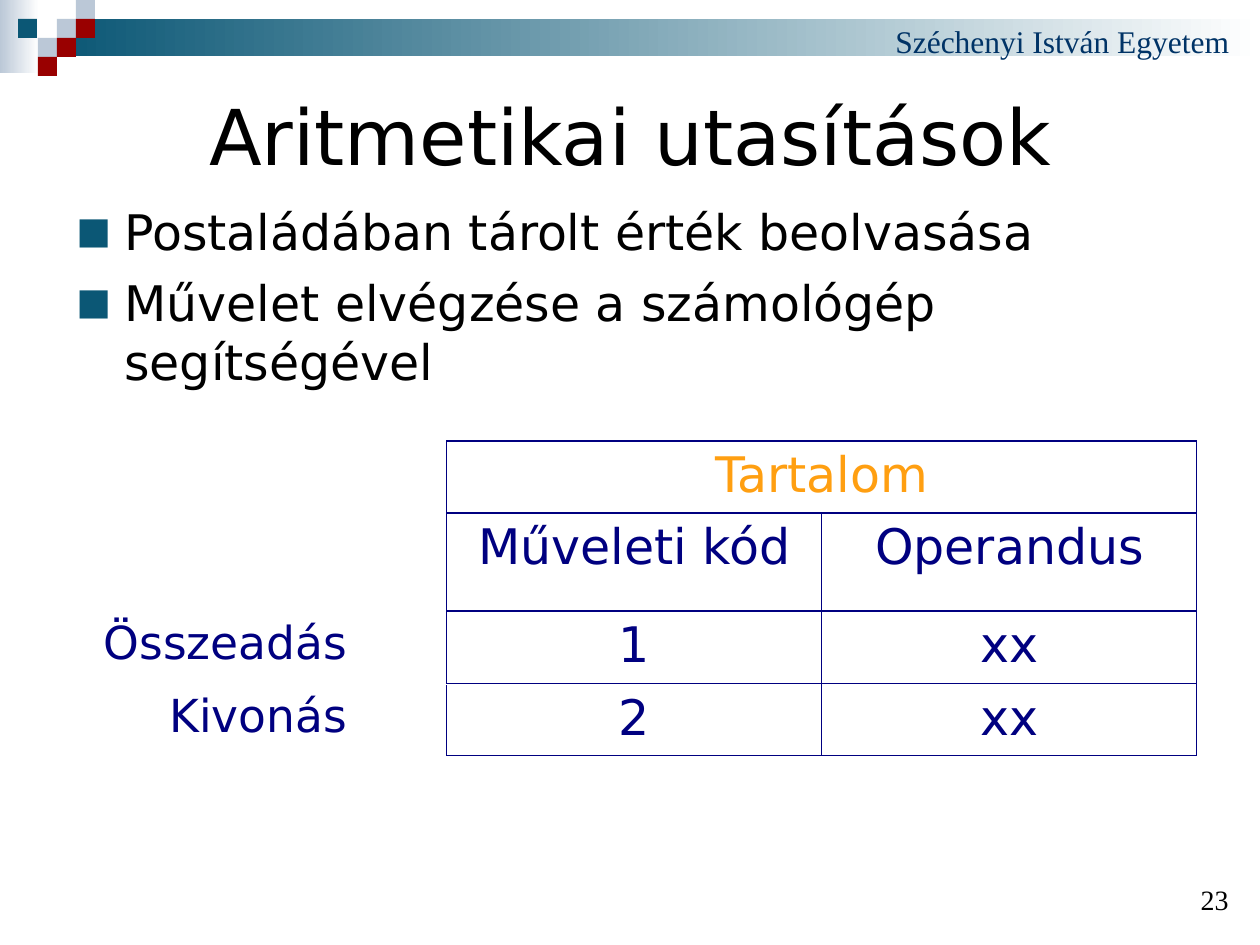
import dataclasses
import typing

import pptx
import pptx.dml.color
import pptx.enum.shapes
import pptx.enum.text
import pptx.oxml
import pptx.oxml.ns
import pptx.util

SCALE = 914400 / 126
SANS, SERIF = "DejaVu Sans", "Times New Roman"
BLACK, WHITE, NAVY, GOLD = "000000", "FFFFFF", "000080", "FF9F11"
TEAL, MIST, RED, BLUE = "0B5775", "BBC8D7", "990000", "003366"
ALIGN = pptx.enum.text.PP_ALIGN
ANCHOR = pptx.enum.text.MSO_ANCHOR


@dataclasses.dataclass
class Block:
    left: int
    top: int
    width: int
    height: int
    color: str
    fade: bool = False


@dataclasses.dataclass
class Label:
    left: int
    top: int
    width: int
    height: int
    lines: list[str]
    size: float
    color: str = BLACK
    face: str = SANS
    align: typing.Any = ALIGN.LEFT
    anchor: typing.Any = ANCHOR.TOP
    bullet: bool = False


def px(count: int) -> pptx.util.Emu:
    return pptx.util.Emu(round(count * SCALE))


def rgb(code: str) -> pptx.dml.color.RGBColor:
    return pptx.dml.color.RGBColor.from_string(code)


def place(item: Block | Label) -> list[pptx.util.Emu]:
    return [px(n) for n in (item.left, item.top, item.width, item.height)]


def put(target: typing.Any, values: dict) -> None:
    for name, value in values.items():
        setattr(target, name, value)


def xml(tag: str, attrs: str, body: str = "") -> typing.Any:
    space = pptx.oxml.ns.nsdecls("a")
    return pptx.oxml.parse_xml(f"<a:{tag} {space} {attrs}>{body}</a:{tag}>")


def paint(code: str) -> str:
    return f'<a:srgbClr val="{code}"/>'


def style(para: typing.Any, text: str, size: float, color: str,
          face: str, align: typing.Any) -> None:
    para.text = text
    para.alignment = align
    font = para.runs[0].font
    put(font, {"name": face, "size": pptx.util.Pt(size), "bold": False})
    font.color.rgb = rgb(color)


def dot(para: typing.Any) -> None:
    props = para._p.get_or_add_pPr()
    put_in = {"marL": px(48), "indent": -px(48)}
    for name, value in put_in.items():
        props.set(name, str(value))
    props.append(xml("buClr", "", paint(TEAL)))
    props.append(xml("buSzPct", 'val="75000"'))
    props.append(xml("buFont", f'typeface="{SANS}"'))
    props.append(xml("buChar", 'char="■"'))


def draw_block(slide: typing.Any, item: Block) -> None:
    kind = pptx.enum.shapes.MSO_SHAPE.RECTANGLE
    shape = slide.shapes.add_shape(kind, *place(item))
    shape.shadow.inherit = False
    shape.line.fill.background()
    if item.fade:
        shape.fill.gradient()
        shape.fill.gradient_angle = 0
        for stop, code, spot in zip(shape.fill.gradient_stops,
                                    (item.color, WHITE), (0, 1)):
            stop.color.rgb = rgb(code)
            stop.position = spot
    else:
        shape.fill.solid()
        shape.fill.fore_color.rgb = rgb(item.color)


def draw_label(slide: typing.Any, item: Label) -> None:
    frame = slide.shapes.add_textbox(*place(item)).text_frame
    put(frame, {"word_wrap": True, "vertical_anchor": item.anchor})
    for row, text in enumerate(item.lines):
        para = frame.add_paragraph() if row else frame.paragraphs[0]
        if item.bullet:
            dot(para)
        if row:
            para.space_before = pptx.util.Pt(7)
        style(para, text, item.size, item.color, item.face, item.align)


def edge(cell: typing.Any, sides: dict[str, str]) -> None:
    props = cell._tc.get_or_add_tcPr()
    for spot, (side, code) in enumerate(sides.items()):
        width = pptx.util.Pt(0.75 if code == NAVY else 0.45)
        props.insert(spot, xml(f"ln{side}", f'w="{width}"',
                               f"<a:solidFill>{paint(code)}</a:solidFill>"))


def draw_table(slide: typing.Any, left: int, top: int, cols: list[int],
               rows: list[int], cells: list[list[str]]) -> None:
    table = slide.shapes.add_table(
        len(rows), len(cols), px(left), px(top),
        px(sum(cols)), px(sum(rows))).table
    put(table, {"first_row": False, "horz_banding": False})
    for col, width in zip(table.columns, cols):
        col.width = px(width)
    for row, height in zip(table.rows, rows):
        row.height = px(height)
    for r, line in enumerate(cells):
        for c, text in enumerate(line):
            cell = table.cell(r, c)
            cell.fill.background()
            # Only the two right columns show a grid
            sides = dict.fromkeys("LRTB", NAVY if c > 1 else WHITE)
            if c == 1:
                sides["R"] = NAVY
            edge(cell, sides)
            if text:
                style(cell.text_frame.paragraphs[0], text,
                      28 if c else 26, NAVY if r else GOLD, SANS,
                      ALIGN.CENTER if c else ALIGN.RIGHT)
    table.cell(0, 2).merge(table.cell(0, 3))


# Header bars, then squares as column, row and colour on a 19 px grid
STEP = 19
BARS = [Block(0, 0, 39, 73, MIST, True), Block(57, 19, 1203, 37, TEAL, True)]
TILES = [(3, 1, MIST), (4, 0, MIST), (4, 1, RED), (2, 2, MIST),
         (1, 1, TEAL), (3, 2, RED), (2, 3, RED)]

LABELS = [
    Label(883, 16, 377, 50, ["Széchenyi István Egyetem"], 18, BLUE, SERIF),
    Label(64, 86, 1134, 97, ["Aritmetikai utasítások"], 44,
          align=ALIGN.CENTER, anchor=ANCHOR.MIDDLE),
    Label(64, 195, 1133, 145,
          ["Postaládában tárolt érték beolvasása",
           "Művelet elvégzése a számológép segítségével"], 28, bullet=True),
    Label(1096, 879, 145, 43, ["23"], 16, face=SERIF,
          align=ALIGN.RIGHT, anchor=ANCHOR.BOTTOM),
]

CELLS = [["", "", "Tartalom", ""],
         ["", "", "Műveleti kód", "Operandus"],
         ["Összeadás", "", "1", "xx"],
         ["Kivonás", "", "2", "xx"]]


def main() -> None:
    deck = pptx.Presentation()
    put(deck, {"slide_width": px(1260), "slide_height": px(945)})
    slide = deck.slides.add_slide(deck.slide_layouts[6])
    tiles = [Block(c * STEP - (c == 1), r * STEP, STEP, STEP, code)
             for c, r, code in TILES]
    for item in BARS + tiles:
        draw_block(slide, item)
    for item in LABELS:
        draw_label(slide, item)
    draw_table(slide, 64, 441, [296, 87, 375, 375], [72, 98, 73, 72], CELLS)
    deck.save("out.pptx")


if __name__ == "__main__":
    main()
